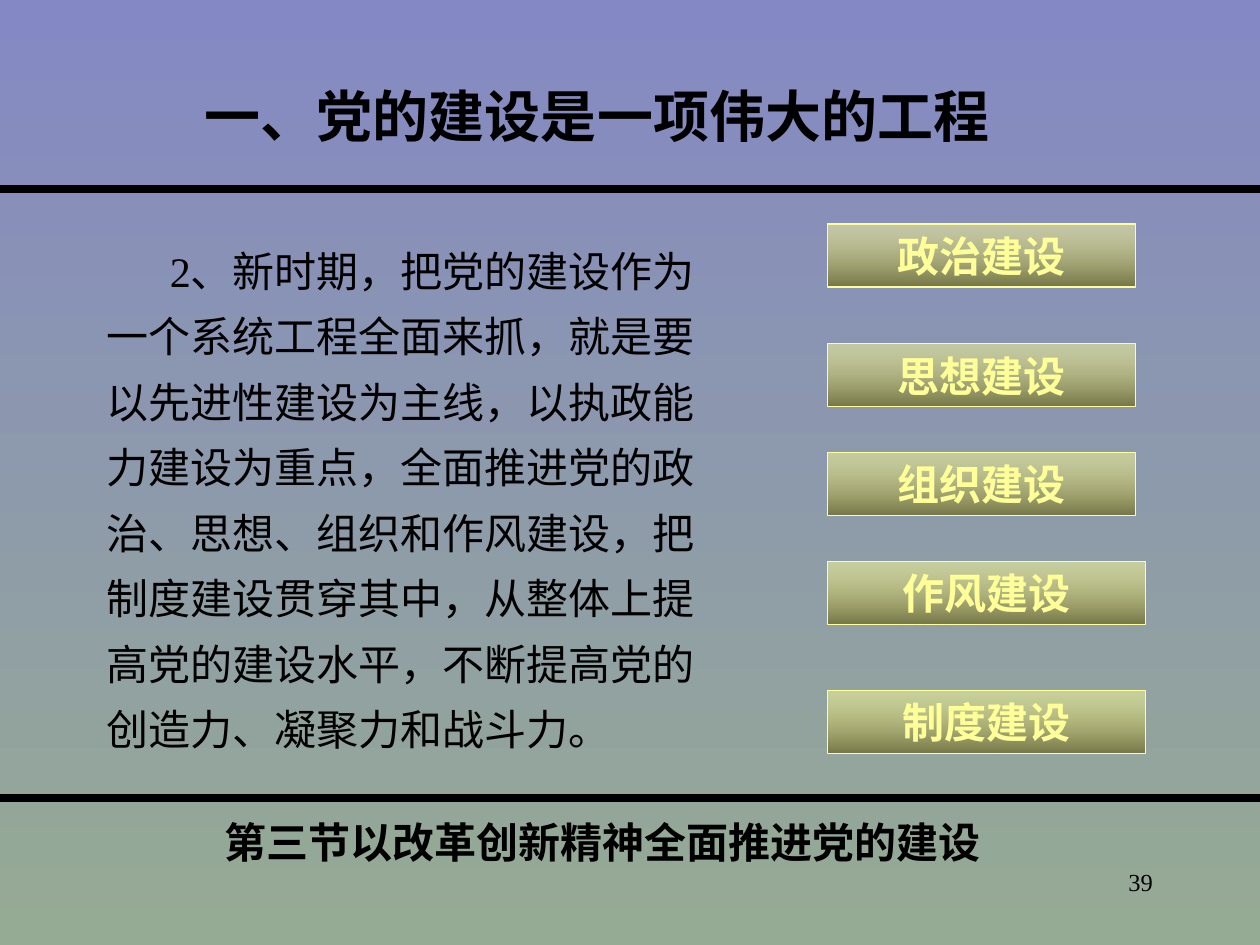
from lxml import etree
from pptx import Presentation
from pptx import util as u
from pptx.dml.color import RGBColor
from pptx.enum import shapes, text
from pptx.oxml import ns

BLACK, YELLOW, OLIVE = "000000", "FFFF99", "757546"
SKY, SAGE = "8488C4", "96AB94"


def colour(value):
    return RGBColor.from_string(value)


def child(parent, tag, **attributes):
    return etree.SubElement(parent, ns.qn(tag), **attributes)


class SlideBuilder:
    latin, east_asian = "Times New Roman", "Noto Sans CJK SC"

    def __init__(self, slide):
        self.slide = slide

    def gradient(self, fill, top, bottom, top_alpha=None):
        fill.gradient()
        fill.gradient_angle = 270
        for stop, value in zip(fill.gradient_stops, (top, bottom)):
            stop.color.rgb = colour(value)
        if top_alpha:
            first = next(fill._xPr.iter(ns.qn("a:srgbClr")))
            child(first, "a:alpha", val=str(top_alpha * 1000))

    def rule(self, y):
        line = self.slide.shapes.add_connector(
            shapes.MSO_CONNECTOR.STRAIGHT, u.Pt(0), u.Pt(y), u.Pt(720), u.Pt(y))
        line.line.width = u.Pt(4.5)
        line.line.color.rgb = colour(BLACK)
        child(line._element.spPr, "a:effectLst")

    def set_text(self, shape, words, size, ink=BLACK, bold=False, align="LEFT",
                 spacing=1.0, indent=0, wrap=True, grow=True):
        fit = text.MSO_AUTO_SIZE
        frame_format = {
            "word_wrap": wrap,
            "auto_size": fit.SHAPE_TO_FIT_TEXT if grow else fit.NONE,
            "vertical_anchor": text.MSO_ANCHOR.TOP,
        }
        for name, value in frame_format.items():
            setattr(shape.text_frame, name, value)
        paragraph = shape.text_frame.paragraphs[0]
        paragraph.alignment = getattr(text.PP_ALIGN, align)
        paragraph.line_spacing = spacing
        if indent:
            properties = paragraph._p.get_or_add_pPr()
            properties.set("marL", "0")
            properties.set("indent", str(u.Pt(indent)))
        run = paragraph.add_run()
        run.text = words
        font_format = {"name": self.latin, "size": u.Pt(size), "bold": bold}
        for name, value in font_format.items():
            setattr(run.font, name, value)
        run.font.color.rgb = colour(ink)
        child(run._r.rPr, "a:ea", typeface=self.east_asian)

    def label(self, box, words, size, **style):
        shape = self.slide.shapes.add_textbox(*map(u.Pt, box))
        self.set_text(shape, words, size, **style)

    def button(self, box, words):
        shape = self.slide.shapes.add_shape(
            shapes.MSO_SHAPE.RECTANGLE, *map(u.Pt, box))
        shape.shadow.inherit = False
        self.gradient(shape.fill, YELLOW, OLIVE, top_alpha=49)
        shape.line.color.rgb = colour(YELLOW)
        shape.line.width = u.Pt(0.75)
        self.set_text(shape, words, 24, ink=YELLOW, bold=True, align="CENTER")


def main():
    presentation = Presentation()
    presentation.slide_width, presentation.slide_height = u.Pt(720), u.Pt(540)
    slide = presentation.slides.add_slide(presentation.slide_layouts[6])
    builder = SlideBuilder(slide)

    # Background and rules
    builder.gradient(slide.background.fill, SKY, SAGE)
    for y in (108, 456):
        builder.rule(y)

    # Section name, title and body
    builder.label((19.5, 463, 649.5, 36), "第三节以改革创新精神全面推进党的建设", 24,
                  bold=True, align="CENTER")
    builder.label((110, 43, 463, 46), "一、党的建设是一项伟大的工程", 32,
                  bold=True, wrap=False)
    builder.label(
        (54, 128, 363, 307),
        "2、新时期，把党的建设作为一个系统工程全面来抓，就是要以先进性建设为主线，"
        "以执政能力建设为重点，全面推进党的政治、思想、组织和作风建设，"
        "把制度建设贯穿其中，从整体上提高党的建设水平，"
        "不断提高党的创造力、凝聚力和战斗力。",
        24, spacing=1.3, indent=36)

    # Five fields of party building
    buttons = [("政治建设", 128, 176), ("思想建设", 196.5, 176),
               ("组织建设", 258.5, 176), ("作风建设", 321, 181.5),
               ("制度建设", 394.5, 181.5)]
    for words, top, width in buttons:
        builder.button((473, top, width, 36), words)

    # Page number
    builder.label((516, 492, 150, 36), "39", 14, align="RIGHT", grow=False)

    presentation.save("out.pptx")


if __name__ == "__main__":
    main()
